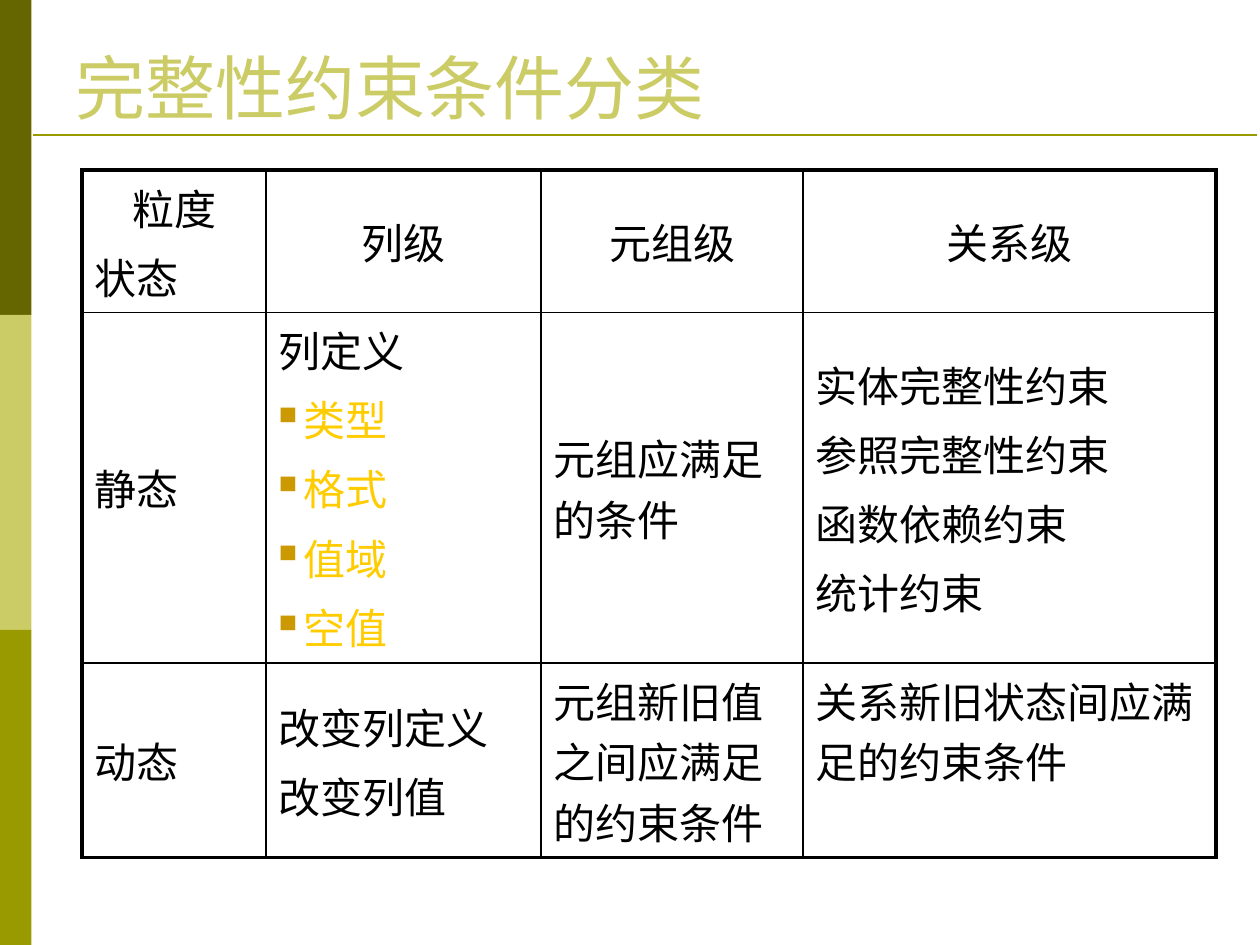
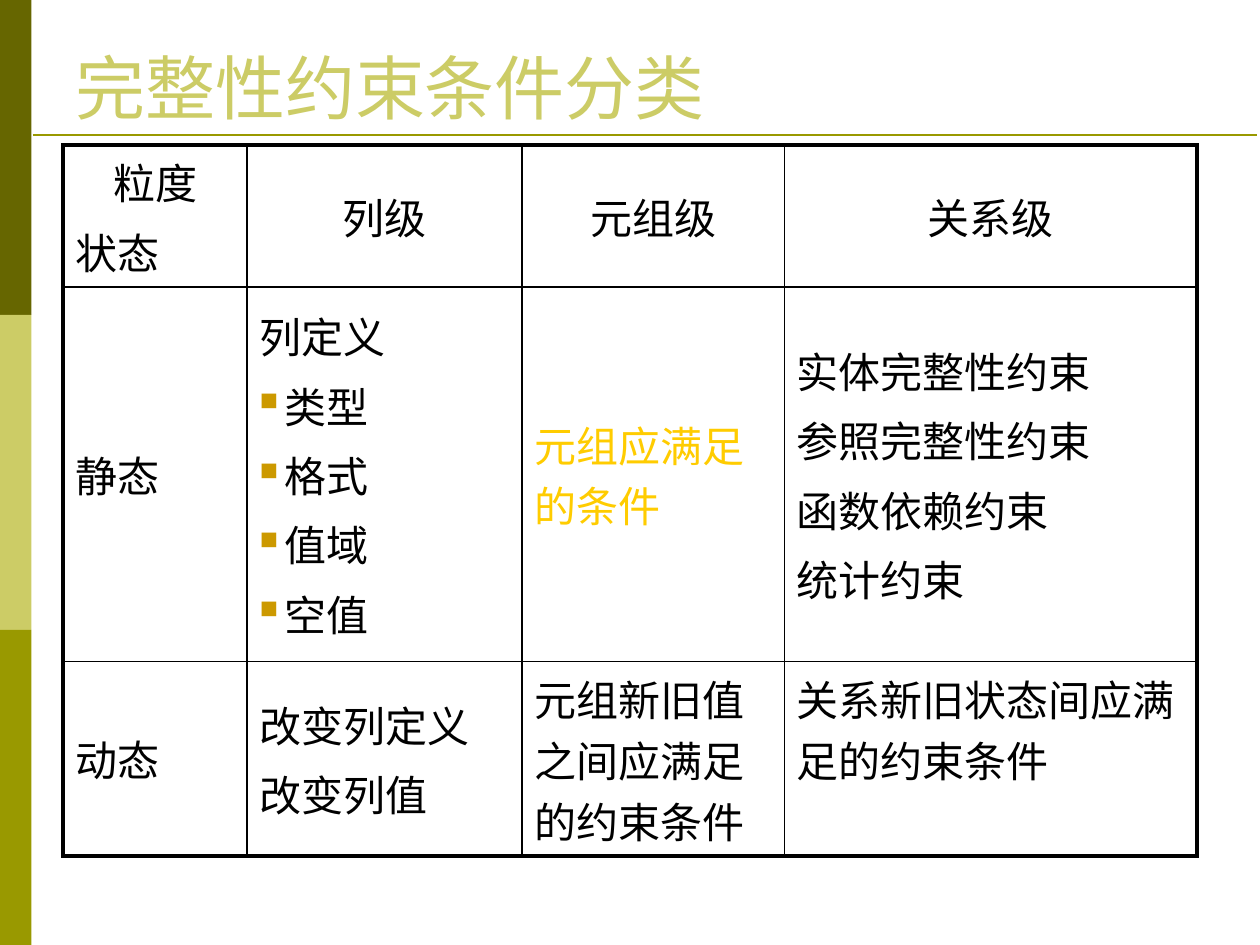
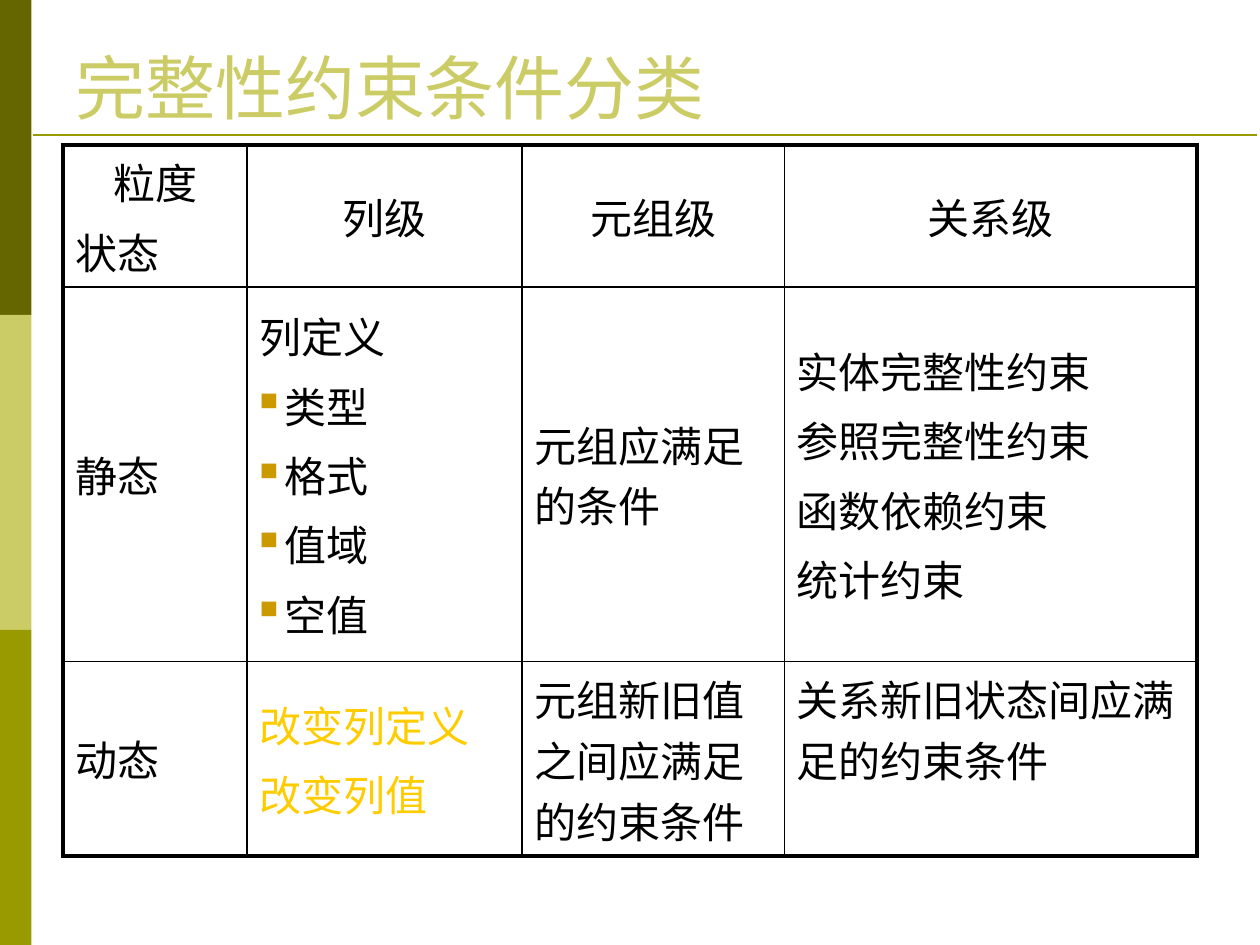
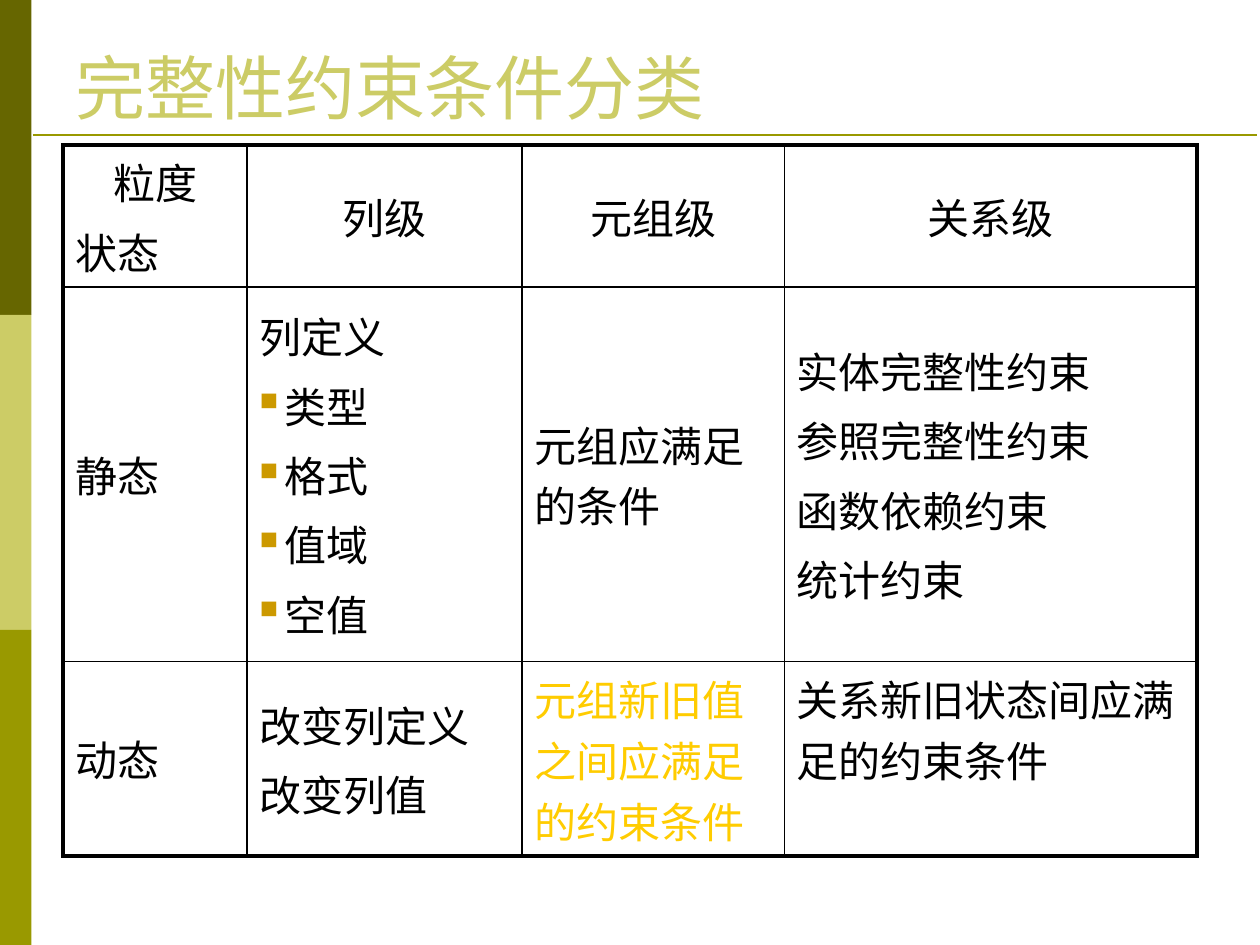
from lxml.etree import SubElement as add_element
from pptx import Presentation
from pptx.dml.color import RGBColor
from pptx.enum.shapes import MSO_CONNECTOR as Connector, MSO_SHAPE as ShapeType
from pptx.enum.text import MSO_ANCHOR as Anchor, PP_ALIGN as Align
from pptx.oxml.ns import qn
from pptx.util import Pt

COLORS = {
    "dark_olive": "666600",
    "light_olive": "CCCC66",
    "olive": "999900",
    "text": "000000",
    "highlight": "FFCC00",
    "bullet": "CC9900",
}
TITLE = "完整性约束条件分类"
TITLE_FONT, BODY_FONT = "Times New Roman", "Roboto"
TITLE_SIZE, BODY_SIZE = 40, 24
PARAGRAPH_GAP = 0.2 * BODY_SIZE
CORNER_INDENT, BULLET_INDENT = 21.7, 14
OUTER_BORDER, INNER_BORDER = 2.25, 1

COLUMN_WIDTHS = [105.2, 157.2, 149.8, 235.8]
HEADER_HEIGHT, DYNAMIC_HEIGHT = 81.3, 111.3

BULLETS = ["类型", "格式", "值域", "空值"]
COLUMN_CHANGES = ["改变列定义", "改变列值"]
TUPLE_STATIC = "元组应满足的条件"
TUPLE_DYNAMIC = "元组新旧值之间应满足的约束条件"
ROWS = [
    [["粒度", "状态"], ["列级"], ["元组级"], ["关系级"]],
    [["静态"], ["列定义", *BULLETS], [TUPLE_STATIC],
     ["实体完整性约束", "参照完整性约束", "函数依赖约束", "统计约束"]],
    [["动态"], COLUMN_CHANGES, [TUPLE_DYNAMIC], ["关系新旧状态间应满足的约束条件"]],
]
TOP_CELLS = {(0, 0), (2, 2), (2, 3)}

# Table left, table top, height of the static row, highlighted texts
SLIDES = [
    (46.8, 97.2, 200.4, BULLETS),
    (36, 82.8, 213.8, [TUPLE_STATIC]),
    (36, 82.8, 213.8, COLUMN_CHANGES),
    (36, 82.8, 213.8, [TUPLE_DYNAMIC]),
]


def rgb(name):
    return RGBColor.from_string(COLORS[name])


def add_run(paragraph, text, font_name, size, color):
    run = paragraph.add_run()
    run.text = text
    run.font.name = font_name
    run.font.size = Pt(size)
    run.font.color.rgb = rgb(color)


def add_side_bands(slide):
    for index, color in enumerate(["dark_olive", "light_olive", "olive"]):
        band = slide.shapes.add_shape(
            ShapeType.RECTANGLE, Pt(0), Pt(180 * index), Pt(18), Pt(180))
        band.shadow.inherit = False
        band.fill.solid()
        band.fill.fore_color.rgb = rgb(color)
        band.line.fill.background()


def add_title_rule(slide):
    rule = slide.shapes.add_connector(
        Connector.STRAIGHT, Pt(18.75), Pt(77.25), Pt(718.5), Pt(77.25))
    rule.line.color.rgb = rgb("olive")
    rule.line.width = Pt(1.5)
    add_element(rule._element.spPr, qn("a:effectLst"))


def add_title(slide):
    box = slide.shapes.add_textbox(Pt(36), Pt(21.6), Pt(648), Pt(55.4))
    frame = box.text_frame
    frame.word_wrap = True
    frame.vertical_anchor = Anchor.BOTTOM
    add_run(frame.paragraphs[0], TITLE, TITLE_FONT, TITLE_SIZE, "light_olive")


def set_indent(paragraph, left, first_line=0):
    properties = paragraph._p.get_or_add_pPr()
    properties.set("marL", str(Pt(left)))
    properties.set("indent", str(Pt(first_line)))
    return properties


def add_bullet(paragraph):
    properties = set_indent(paragraph, BULLET_INDENT, -BULLET_INDENT)
    color = add_element(properties, qn("a:buClr"))
    add_element(color, qn("a:srgbClr"), val=COLORS["bullet"])
    add_element(properties, qn("a:buSzPct"), val="60000")
    # The letter n is a filled square in Wingdings
    add_element(properties, qn("a:buFont"), typeface="Wingdings", pitchFamily="2", charset="2")
    add_element(properties, qn("a:buChar"), char="n")


def set_borders(cell, row, column):
    outer_sides = {
        "L": column == 0,
        "R": column == len(COLUMN_WIDTHS) - 1,
        "T": row == 0,
        "B": row == len(ROWS) - 1,
    }
    properties = cell._tc.get_or_add_tcPr()
    for side, is_outer in outer_sides.items():
        width = Pt(OUTER_BORDER if is_outer else INNER_BORDER)
        border = add_element(properties, qn(f"a:ln{side}"), w=str(width))
        fill = add_element(border, qn("a:solidFill"))
        add_element(fill, qn("a:srgbClr"), val=COLORS["text"])


def fill_cell(cell, row, column, highlighted):
    set_borders(cell, row, column)
    cell.fill.background()
    cell.vertical_anchor = Anchor.TOP if (row, column) in TOP_CELLS else Anchor.MIDDLE
    frame = cell.text_frame
    for index, text in enumerate(ROWS[row][column]):
        paragraph = frame.add_paragraph() if index else frame.paragraphs[0]
        if index:
            paragraph.space_before = Pt(PARAGRAPH_GAP)
        if text in BULLETS:
            add_bullet(paragraph)
        if text == "粒度":
            set_indent(paragraph, CORNER_INDENT)
        if row == 0 and column > 0:
            paragraph.alignment = Align.CENTER
        color = "highlight" if text in highlighted else "text"
        add_run(paragraph, text, BODY_FONT, BODY_SIZE, color)


def add_constraint_table(slide, left, top, static_height, highlighted):
    heights = [HEADER_HEIGHT, static_height, DYNAMIC_HEIGHT]
    table = slide.shapes.add_table(
        len(ROWS), len(COLUMN_WIDTHS), Pt(left), Pt(top),
        Pt(sum(COLUMN_WIDTHS)), Pt(sum(heights))).table
    table.first_row = table.horz_banding = False
    for column, width in zip(table.columns, COLUMN_WIDTHS):
        column.width = Pt(width)
    for row, height in enumerate(heights):
        table.rows[row].height = Pt(height)
        for column in range(len(COLUMN_WIDTHS)):
            fill_cell(table.cell(row, column), row, column, highlighted)


def main():
    presentation = Presentation()
    presentation.slide_width, presentation.slide_height = Pt(720), Pt(540)
    blank = presentation.slide_layouts[6]
    for table_settings in SLIDES:
        slide = presentation.slides.add_slide(blank)
        add_side_bands(slide)
        add_title_rule(slide)
        add_title(slide)
        add_constraint_table(slide, *table_settings)
    presentation.save("out.pptx")


if __name__ == "__main__":
    main()
